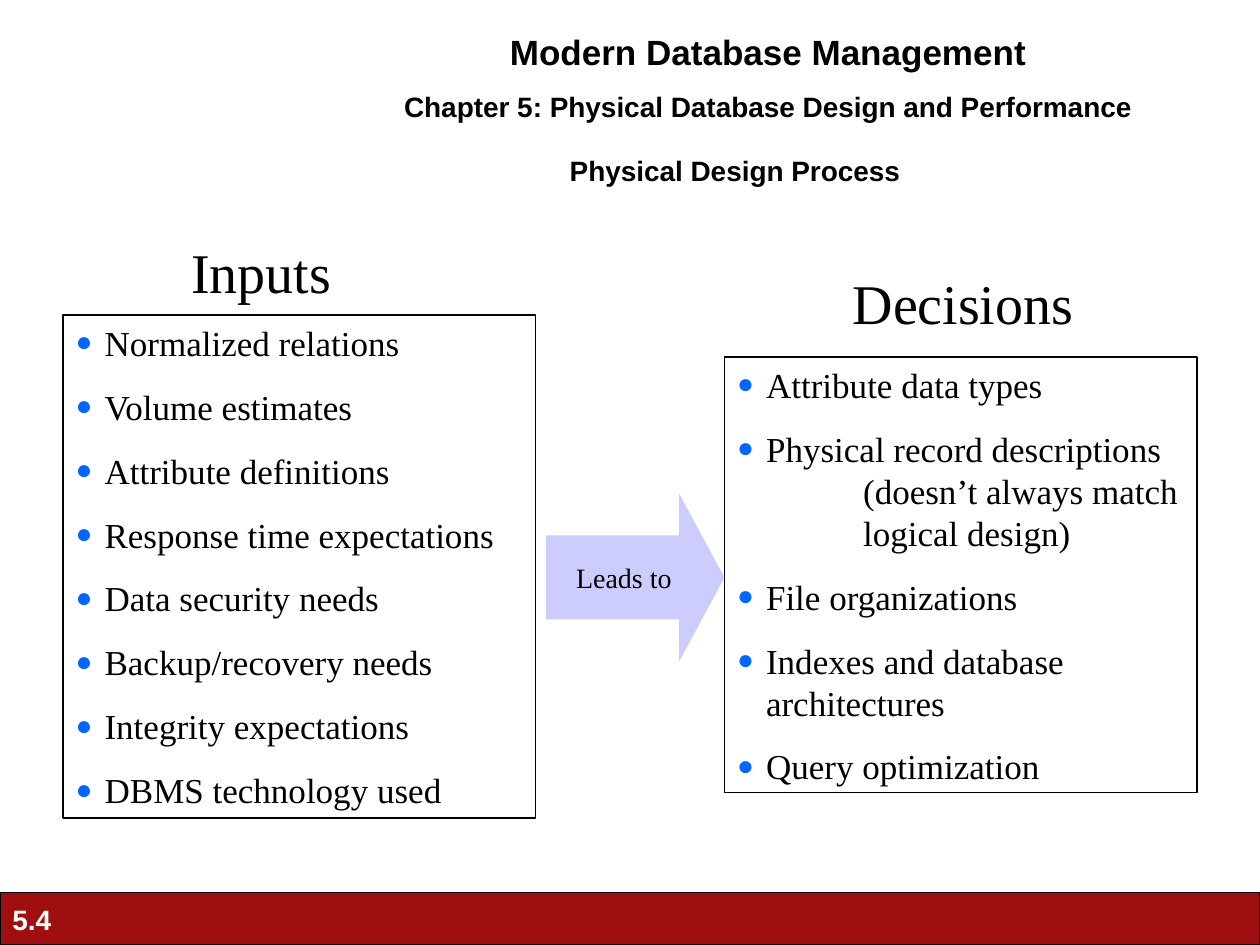
"""Build the slide that links physical design inputs to decisions."""
from dataclasses import dataclass

from lxml.etree import SubElement
from pptx import Presentation
from pptx.dml.color import RGBColor
from pptx.enum.shapes import MSO_SHAPE
from pptx.enum.text import MSO_ANCHOR, MSO_AUTO_SIZE, PP_ALIGN
from pptx.oxml.ns import qn
from pptx.util import Inches, Pt

BLACK = RGBColor(0x00, 0x00, 0x00)
WHITE = RGBColor(0xFF, 0xFF, 0xFF)
CRIMSON = RGBColor(0x9F, 0x0F, 0x10)
LAVENDER = RGBColor(0xCC, 0xCC, 0xFF)
BULLET_BLUE = RGBColor(0x00, 0x66, 0xFF)
SANS, SERIF = "Arial", "Times New Roman"
CELL = Inches(10) / 120
BULLET_INDENT = Inches(0.23)


@dataclass(frozen=True)
class Area:
    """A region of the grid of 120 columns and 90 rows."""

    column: float
    row: float
    columns: float
    rows: float

    def box(self) -> tuple[int, ...]:
        """Return left, top, width and height as lengths."""
        return tuple(round(n * CELL) for n in (self.column, self.row, self.columns, self.rows))


@dataclass(frozen=True)
class Panel:
    """A heading above an outlined list."""

    heading: str
    heading_area: Area
    list_area: Area
    items: tuple[str, ...]


PANELS = (
    Panel("Inputs", Area(17, 22, 18, 7.7), Area(6, 30, 45, 47.9), (
        "Normalized relations",
        "Volume estimates",
        "Attribute definitions",
        "Response time expectations",
        "Data security needs",
        "Backup/recovery needs",
        "Integrity expectations",
        "DBMS technology used",
    )),
    Panel("Decisions", Area(80, 25, 26, 7.7), Area(69, 34, 45, 41.5), (
        "Attribute data types",
        "Physical record descriptions\n\t(doesn’t always match\n\tlogical design)",
        "File organizations",
        "Indexes and database architectures",
        "Query optimization",
    )),
)


def place(shape, area: Area) -> None:
    """Move a placeholder to an area of the grid."""
    shape.left, shape.top, shape.width, shape.height = area.box()


def add_bullet(paragraph) -> None:
    """Give a paragraph a blue bullet, a hanging indent and tabs at each inch."""
    properties = paragraph._p.get_or_add_pPr()
    properties.set("marL", str(BULLET_INDENT))
    properties.set("indent", str(-BULLET_INDENT))
    colour = SubElement(properties, qn("a:buClr"))
    SubElement(colour, qn("a:srgbClr"), val=str(BULLET_BLUE))
    SubElement(properties, qn("a:buSzPct"), val="80000")
    SubElement(properties, qn("a:buFont"), typeface=SERIF)
    SubElement(properties, qn("a:buChar"), char="●")
    tabs = SubElement(properties, qn("a:tabLst"))
    for inch in range(1, 9):
        SubElement(tabs, qn("a:tab"), pos=str(Inches(inch)), algn="l")


def write(shape, *lines: str, sizes: tuple[float, ...], font: str = SERIF,
          color: RGBColor = BLACK, bold: bool = False, align=PP_ALIGN.LEFT,
          anchor=MSO_ANCHOR.TOP, gap: float = 0, bullets: bool = False,
          wrap: bool = True) -> None:
    """Fill a shape with paragraphs, the last size serving all remaining lines."""
    frame = shape.text_frame
    frame.word_wrap = wrap
    frame.auto_size = MSO_AUTO_SIZE.NONE
    frame.vertical_anchor = anchor
    for index, line in enumerate(lines):
        paragraph = frame.add_paragraph() if index else frame.paragraphs[0]
        if bullets:
            add_bullet(paragraph)
        paragraph.alignment = align
        paragraph.space_before = Pt(gap if index else 0)
        for part_index, part in enumerate(line.split("\n")):
            if part_index:
                paragraph.add_line_break()
            run = paragraph.add_run()
            run.text = part
            run.font.name = font
            run.font.size = Pt(sizes[min(index, len(sizes) - 1)])
            run.font.bold = bold
            run.font.color.rgb = color


def add_block(slide, preset, area: Area, fill: RGBColor, outlined: bool):
    """Add a flat filled shape, with or without a thin black outline."""
    block = slide.shapes.add_shape(preset, *area.box())
    block.shadow.inherit = False
    block.fill.solid()
    block.fill.fore_color.rgb = fill
    if outlined:
        block.line.color.rgb = BLACK
        block.line.width = Pt(0.75)
    else:
        block.line.fill.background()
    return block


def fill_panel(heading, listing, panel: Panel) -> None:
    """Write a panel into its heading and list placeholders."""
    place(heading, panel.heading_area)
    write(heading, panel.heading, sizes=(32,))
    place(listing, panel.list_area)
    listing.line.color.rgb = BLACK
    listing.line.width = Pt(0.75)
    write(listing, *panel.items, sizes=(20,), gap=12.5, bullets=True)


def main() -> None:
    """Draw the slide and save it."""
    presentation = Presentation()
    presentation.slide_width, presentation.slide_height = Inches(10), Inches(7.5)
    slide = presentation.slides.add_slide(presentation.slide_layouts.get_by_name("Comparison"))
    title, *panel_parts = slide.placeholders

    add_block(slide, MSO_SHAPE.RECTANGLE, Area(0, 85, 120, 5), CRIMSON, outlined=True)
    page = slide.shapes.add_textbox(*Area(0, 85.4, 9.1, 4.4).box())
    write(page, "5.4", sizes=(16,), font=SANS, color=WHITE, bold=True)

    course = slide.shapes.add_textbox(*Area(35.3, 2.3, 75.7, 10.1).box())
    write(course, "Modern Database Management",
          "Chapter 5: Physical Database Design and Performance",
          sizes=(20, 16), font=SANS, bold=True, align=PP_ALIGN.CENTER, gap=10)
    place(title, Area(37, 14, 66, 4))
    write(title, "Physical Design Process", sizes=(16,), font=SANS, bold=True,
          align=PP_ALIGN.CENTER)

    for heading, listing, panel in zip(panel_parts[::2], panel_parts[1::2], PANELS):
        fill_panel(heading, listing, panel)

    arrow = add_block(slide, MSO_SHAPE.RIGHT_ARROW, Area(52, 47, 17, 16), LAVENDER, outlined=False)
    arrow.adjustments[1] = 0.27
    write(arrow, "Leads to", sizes=(16,), align=PP_ALIGN.CENTER,
          anchor=MSO_ANCHOR.MIDDLE, wrap=False)
    presentation.save("out.pptx")


if __name__ == "__main__":
    main()
